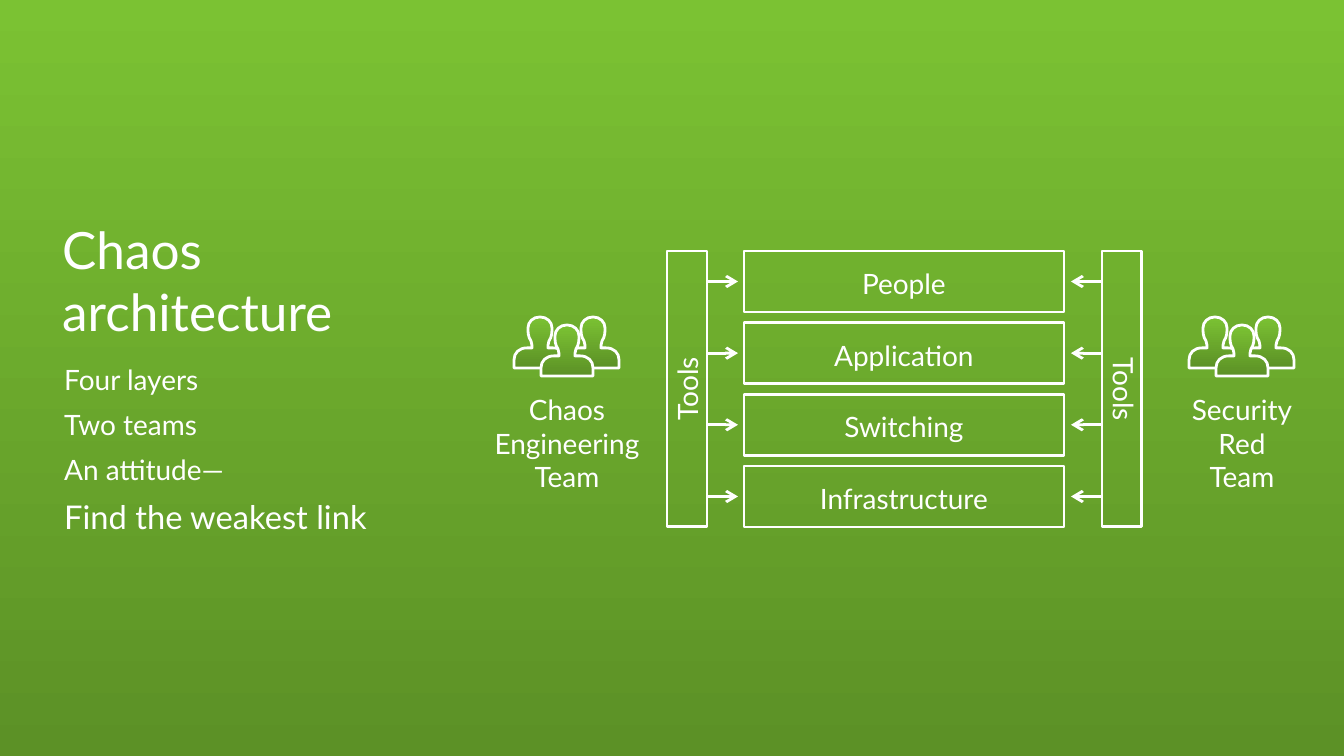
from lxml import etree
from pptx import Presentation
from pptx.dml.color import RGBColor
from pptx.enum.shapes import MSO_CONNECTOR, MSO_SHAPE
from pptx.enum.text import PP_ALIGN
from pptx.oxml.ns import qn
from pptx.util import Emu, Pt

SCALE = 9144000 / 1344  # EMU per px
RECTANGLE = MSO_SHAPE.RECTANGLE
STRAIGHT = MSO_CONNECTOR.STRAIGHT
LEFT, CENTER = PP_ALIGN.LEFT, PP_ALIGN.CENTER

FONT = "Lato"
WHITE = "FFFFFF"
GREENS = ("7BC233", "5C9126")  # top, bottom
LINE_WIDTH = 1.5
BODY_SIZE = 15

# Layer names with the widths of their labels
LAYERS = (("People", 116), ("Application", 174),
          ("Switching", 153), ("Infrastructure", 203))
LAYER_LEFT, LAYER_WIDTH, LAYER_HEIGHT = 744, 320, 61
STACK_TOP, STACK_HEIGHT = 251, 276
LAYER_PITCH = (STACK_HEIGHT - LAYER_HEIGHT) / (len(LAYERS) - 1)
LABEL_HEIGHT = 47
TOOL_WIDTH = 40
ARROW_LENGTH = 31

# Right half of a person from the crown down: three points make a curve, one a line
PERSON_WIDTH = 52
PERSON_START = (26, 0)
PERSON_SEGMENTS = (
    ((33, 0), (38, 5), (38, 11)),
    ((38, 15), (38, 20), (35, 24)),
    ((34, 27), (34, 29), (34, 31)),
    ((39, 31),),
    ((47, 31), (52, 36), (52, 43)),
    ((52, 51),),
)


def px(value):
    return Emu(round(value * SCALE))


def color(hex_string):
    return RGBColor.from_string(hex_string)


def fill_gradient(fill):
    fill.gradient()
    fill.gradient_angle = 270
    for stop, green in zip(fill.gradient_stops, GREENS):
        stop.color.rgb = color(green)


def outline(shape):
    shape.line.color.rgb = color(WHITE)
    shape.line.width = Pt(LINE_WIDTH)


def add_text(slide, box, texts, sizes, align=CENTER, space_before=0, wrap=False):
    shape = slide.shapes.add_textbox(*map(px, box))
    frame = shape.text_frame
    frame.word_wrap = wrap
    for index, (text, size) in enumerate(zip(texts, sizes)):
        paragraph = frame.add_paragraph() if index else frame.paragraphs[0]
        paragraph.text = text
        paragraph.alignment = align
        paragraph.space_before = Pt(space_before if index else 0)
        paragraph.font.name = FONT
        paragraph.font.size = Pt(size)
        paragraph.font.color.rgb = color(WHITE)
    return shape


def add_label(slide, text, center_x, center_y, width):
    box = (center_x - width / 2, center_y - LABEL_HEIGHT / 2, width, LABEL_HEIGHT)
    return add_text(slide, box, [text], [BODY_SIZE])


def add_box(slide, left, top, width, height):
    shape = slide.shapes.add_shape(RECTANGLE, *map(px, (left, top, width, height)))
    shape.shadow.inherit = False
    shape.fill.background()
    outline(shape)


def layer_middle(row):
    return STACK_TOP + LAYER_HEIGHT / 2 + row * LAYER_PITCH


def add_layer(slide, row, name, label_width):
    middle = layer_middle(row)
    add_box(slide, LAYER_LEFT, middle - LAYER_HEIGHT / 2, LAYER_WIDTH, LAYER_HEIGHT)
    add_label(slide, name, LAYER_LEFT + LAYER_WIDTH / 2, middle + 2, label_width)


def add_arrow(slide, start, end, y):
    arrow = slide.shapes.add_connector(STRAIGHT, px(start), px(y), px(end), px(y))
    outline(arrow)
    arrow.line._get_or_add_ln().append(
        etree.Element(qn("a:tailEnd"), type="arrow"))
    etree.SubElement(arrow._element.spPr, qn("a:effectLst"))


def add_tools(slide, left, label_center, rotation, arrow_start, direction):
    add_box(slide, left, STACK_TOP, TOOL_WIDTH, STACK_HEIGHT)
    label = add_label(slide, "Tools", label_center, STACK_TOP + STACK_HEIGHT / 2, 97)
    label.rotation = rotation
    for row in range(len(LAYERS)):
        add_arrow(slide, arrow_start, arrow_start + direction * ARROW_LENGTH,
                  layer_middle(row))


def bend_segments(shape, lengths):
    """Join each run of three line points into one Bézier curve."""
    lines = iter(list(shape._element.iter(qn("a:lnTo"))))
    for length in lengths:
        group = [next(lines) for _ in range(length)]
        if length == 3:
            curve = etree.Element(qn("a:cubicBezTo"))
            group[0].addprevious(curve)
            for line in group:
                curve.append(line[0])
                line.getparent().remove(line)


def add_person(slide, left, top):
    half = [PERSON_START] + [point for segment in PERSON_SEGMENTS for point in segment]
    mirrored = [(PERSON_WIDTH - x, y) for x, y in reversed(half)]
    points = [(px(left + x), px(top + y)) for x, y in half + mirrored]
    builder = slide.shapes.build_freeform(*points[0])
    builder.add_line_segments(points[1:], close=True)
    shape = builder.convert_to_shape()
    lengths = [len(segment) for segment in PERSON_SEGMENTS]
    bend_segments(shape, lengths + [1] + lengths[::-1])
    shape.shadow.inherit = False
    fill_gradient(shape.fill)
    outline(shape)


def add_team(slide, center, name, width):
    for offset, top in ((-53, 317), (0, 317), (-26, 325)):
        add_person(slide, center + offset, top)
    add_text(slide, (center - width / 2, 386, width, 116), [name], [BODY_SIZE])


def main():
    presentation = Presentation()
    presentation.slide_width, presentation.slide_height = px(1344), px(756)
    slide = presentation.slides.add_slide(presentation.slide_layouts[6])
    fill_gradient(slide.background.fill)

    # Stack of layers
    for row, (name, label_width) in enumerate(LAYERS):
        add_layer(slide, row, name, label_width)

    # Teams, and their tools pointing at the layers
    add_team(slide, 567, "Chaos\vEngineering\vTeam", 181)
    add_tools(slide, 667, 687, 270, 667 + TOOL_WIDTH, 1)
    add_team(slide, 1242, "Security\vRed\vTeam", 130)
    add_tools(slide, 1102, 1124, 90, 1102, -1)

    # Key points and title
    add_text(slide, (51, 356, 410, 207),
             ["Four layers", "Two teams", "An attitude—", "Find the weakest link"],
             [BODY_SIZE] * 3 + [17.5], LEFT, space_before=6, wrap=True)
    add_text(slide, (49, 212, 484, 145), ["Chaos", "architecture"],
             [27.5, 27.5], LEFT, wrap=True)

    presentation.save("out.pptx")


if __name__ == "__main__":
    main()
